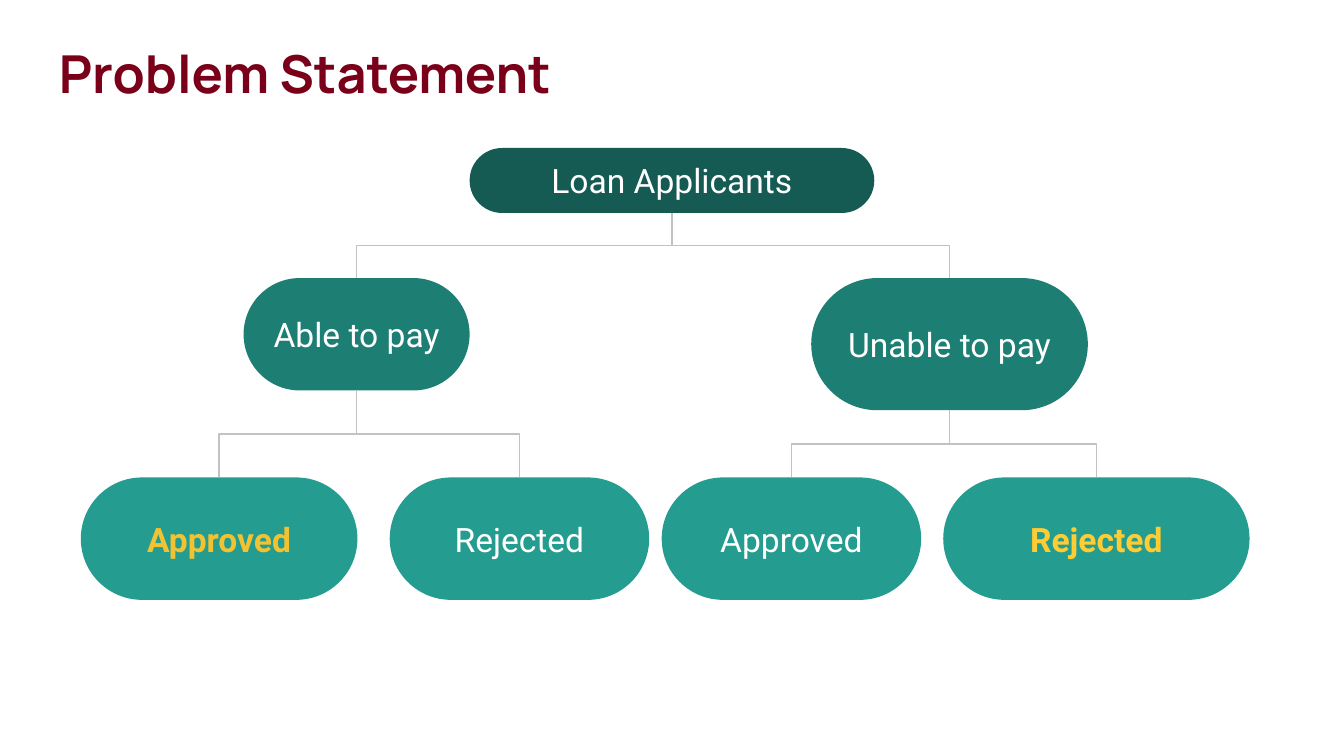
from pptx import Presentation
from pptx.dml.color import RGBColor
from pptx.enum.shapes import MSO_CONNECTOR, MSO_SHAPE
from pptx.enum.text import MSO_ANCHOR, PP_ALIGN
from pptx.util import Pt
from lxml import etree

HUES = {
    "title": "7A0019", "root": "155B54", "group": "1D7E74", "leaf": "249C90",
    "white": "FFFFFF", "gold": "F1C232", "amber": "FFCC33", "line": "C2C2C2",
}
A = "{http://schemas.openxmlformats.org/drawingml/2006/main}"


def write(box, text, font, size, hue, bold):
    frame = box.text_frame
    frame.word_wrap = True
    frame.margin_left = frame.margin_right = Pt(7.2)
    frame.margin_top = frame.margin_bottom = Pt(7.2)
    frame.text = text
    face = frame.paragraphs[0].runs[0].font
    face.name, face.size, face.bold = font, Pt(size), bold
    face.color.rgb = RGBColor.from_string(HUES[hue])
    return frame


deck = Presentation()
deck.slide_width, deck.slide_height = Pt(720), Pt(405)
slide = deck.slides.add_slide(deck.slide_layouts[6])
shapes = slide.shapes

# Title
title = shapes.add_textbox(Pt(24.5), Pt(15.1), Pt(671), Pt(45.4))
write(title, "Problem Statement", "Manrope", 28, "title", True)

# Tree nodes: key, parent, text, left, top, width, height, fill, text hue
nodes = [
    ("root", None, "Loan Applicants", 251.6, 79.3, 216.8, 34.8, "root", "white"),
    ("unable", "root", "Unable to pay", 434.6, 149, 148.2, 70.8, "group", "white"),
    ("able", "root", "Able to pay", 130.5, 149, 121.1, 60.2, "group", "white"),
    ("able yes", "able", "Approved", 43.3, 255.8, 148.2, 65.6, "leaf", "gold"),
    ("able no", "able", "Rejected", 208.8, 255.8, 139, 65.6, "leaf", "white"),
    ("unable yes", "unable", "Approved", 354.5, 255.8, 139, 65.6, "leaf", "white"),
    ("unable no", "unable", "Rejected", 505.3, 255.8, 164.1, 65.6, "leaf", "amber"),
]
pills = {}
for key, _, text, x, y, w, h, fill, hue in nodes:
    pill = shapes.add_shape(MSO_SHAPE.ROUNDED_RECTANGLE, Pt(x), Pt(y), Pt(w), Pt(h))
    pill.adjustments[0] = 0.5
    pill.shadow.inherit = False
    pill.fill.solid()
    pill.fill.fore_color.rgb = RGBColor.from_string(HUES[fill])
    pill.line.fill.background()
    frame = write(pill, text, "Roboto", 18, hue, hue != "white")
    frame.vertical_anchor = MSO_ANCHOR.MIDDLE
    frame.paragraphs[0].alignment = PP_ALIGN.CENTER
    pills[key] = pill

# Elbow links from each parent's bottom to its child's top
for key, parent, *_ in nodes[1:]:
    top, low = pills[parent], pills[key]
    x1, y1 = top.left + top.width // 2, top.top + top.height
    x2, y2 = low.left + low.width // 2, low.top
    link = shapes.add_connector(MSO_CONNECTOR.ELBOW, x1, y1, x2, y2)
    link.begin_connect(top, 2)
    link.end_connect(low, 0)
    link.line.color.rgb = RGBColor.from_string(HUES["line"])
    link.line.width = Pt(0.75)
    props = link._element.spPr
    etree.SubElement(props, A + "effectLst")

    # Turn the elbow a quarter so that it leaves and arrives vertically
    wide, tall = abs(x2 - x1), y2 - y1
    link.left, link.top = (x1 + x2 - tall) // 2, (y1 + y2 - wide) // 2
    link.width, link.height = tall, wide
    turn = props.find(A + "xfrm")
    turn.set("rot", "16200000" if x2 > x1 else "5400000")
    turn.set("flipH", "1" if x2 > x1 else "0")

deck.save("out.pptx")
